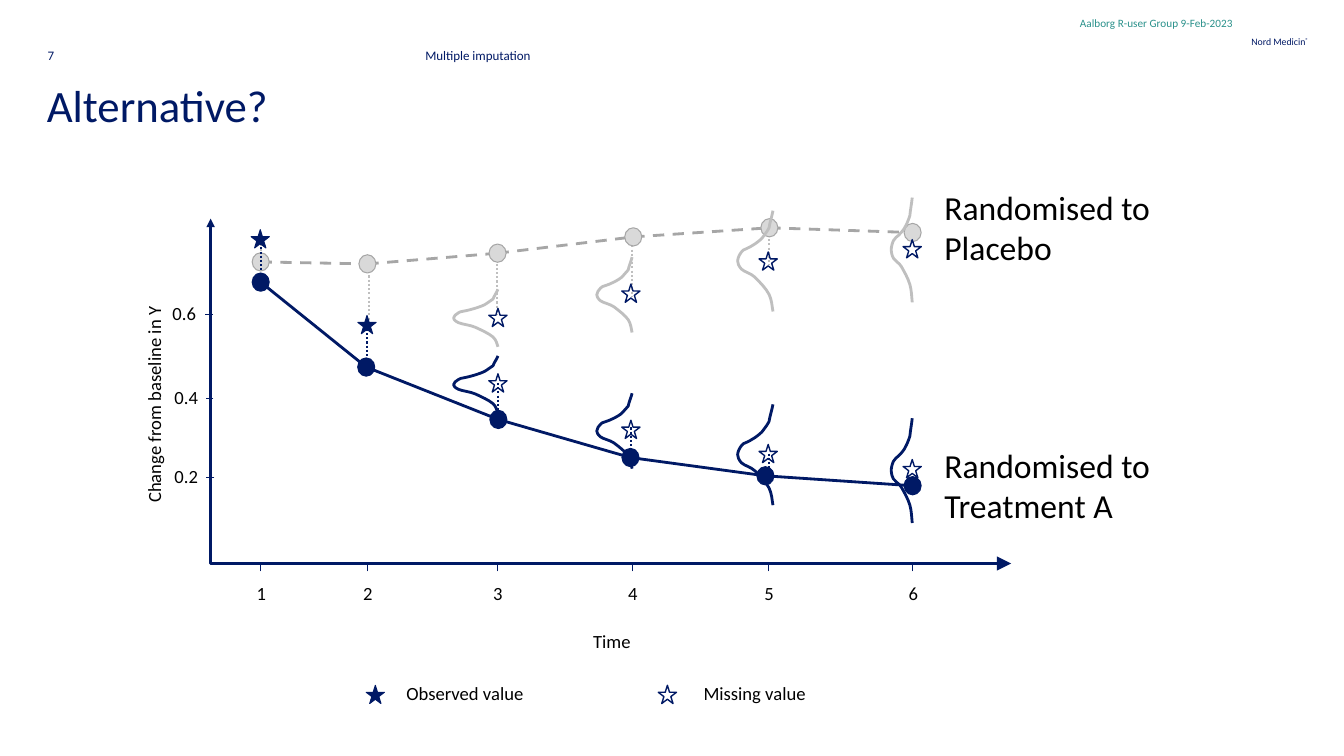
"""Draw the multiple imputation slide with both treatment arms and their missing values."""
from dataclasses import dataclass
from itertools import pairwise
from typing import Optional

from lxml import etree
from pptx import Presentation
from pptx import util as u
from pptx.dml.color import RGBColor
from pptx.enum import dml, shapes, text
from pptx.oxml import ns

NAVY = RGBColor(0x00, 0x19, 0x65)
TEAL = RGBColor(0x2A, 0x91, 0x8B)
BLACK = RGBColor(0, 0, 0)
GREY_LINE = RGBColor(0xA6, 0xA6, 0xA6)
GREY_CURVE = RGBColor(0xBF, 0xBF, 0xBF)
GREY_DOT = RGBColor(0xD9, 0xD9, 0xD9)
FONT = "Calibri"
LEFT, CENTER, RIGHT = text.PP_ALIGN.LEFT, text.PP_ALIGN.CENTER, text.PP_ALIGN.RIGHT
DASH, DOTS = dml.MSO_LINE.DASH, dml.MSO_LINE.ROUND_DOT
OVAL, STAR = shapes.MSO_SHAPE.OVAL, shapes.MSO_SHAPE.STAR_5_POINT
Point = tuple[float, float]


@dataclass
class Label:
    lines: str
    x: float
    y: float
    w: float
    h: float
    size: float = 13.3
    color: RGBColor = BLACK
    align: text.PP_ALIGN = LEFT
    inset: bool = True
    middle: bool = False
    rotation: float = 0


@dataclass
class Arm:
    line: RGBColor
    fill: RGBColor
    curve: RGBColor
    dash: Optional[dml.MSO_LINE]
    means: list[Point]
    missing: list[Point]
    curve_tops: list[float]
    drops: list[tuple[float, float, float]]


@dataclass
class Bell:
    right: float
    depth: float
    height: float


@dataclass
class Level:
    name: str
    tick_x: float
    label_x: float
    y: float


PLACEBO = Arm(
    GREY_LINE, GREY_DOT, GREY_CURVE, DASH,
    [(6.57, 6.6), (9.26, 6.65), (12.54, 6.38), (15.96, 5.97), (19.39, 5.74), (23, 5.86)],
    [(12.55, 8), (15.9, 7.39), (19.36, 6.58), (22.99, 6.27)],
    [7.29, 6.48, 5.31, 4.98],
    [(6.58, 6.05, 6.58), (9.3, 6.73, 8.13), (12.52, 6.43, 7.95), (15.93, 5.97, 7.47),
     (19.38, 5.92, 6.68)])
TREATMENT = Arm(
    NAVY, NAVY, NAVY, None,
    [(6.57, 7.11), (9.23, 9.25), (12.56, 10.57), (15.89, 11.53), (19.29, 11.99), (23, 12.24)],
    [(12.55, 9.65), (15.9, 10.82), (19.36, 11.43), (22.99, 11.81)],
    [8.97, 9.91, 10.19, 10.54],
    [(6.58, 6.02, 7.09), (9.25, 8.18, 9.25), (12.55, 9.65, 10.72), (15.9, 10.77, 11.66),
     (19.38, 11.43, 12.07)])
ARMS = [PLACEBO, TREATMENT]
BELLS = [Bell(12.55, 1.12, 1.45), Bell(15.93, 0.89, 1.9),
         Bell(19.48, 0.89, 2.54), Bell(22.99, 0.53, 2.64)]
BELL_KNOTS: list[Point] = [
    (0, 1), (0.03, 0.94), (0.03, 0.89), (0.11, 0.83), (0.2, 0.77), (0.37, 0.71), (0.51, 0.66),
    (0.63, 0.62), (0.8, 0.61), (0.89, 0.58), (0.97, 0.55), (1, 0.52), (1, 0.5),
    (1, 0.47), (0.94, 0.43), (0.89, 0.41), (0.86, 0.39), (0.83, 0.39), (0.77, 0.38),
    (0.69, 0.37), (0.6, 0.35), (0.51, 0.33), (0.43, 0.31), (0.31, 0.28), (0.26, 0.25),
    (0.2, 0.22), (0.17, 0.21), (0.11, 0.17), (0.09, 0.12), (0.03, 0.06), (0, 0)]
OBSERVED: list[Point] = [(6.56, 6.02), (9.25, 8.18), (9.46, 17.5)]
LEGEND_MISSING: Point = (16.82, 17.5)
VISITS = [6.57, 9.25, 12.53, 15.93, 19.36, 23]
LEVELS = [Level("0.6", 5.16, 3.83, 7.92), Level("0.4", 5.18, 3.88, 10.03),
          Level("0.2", 5.2, 3.88, 12.02)]
AXIS_X, AXIS_Y = 5.31, 14.2
LABELS = [
    Label("Alternative?", 1.18, 1.9, 31.52, 1.45, 32, NAVY, inset=False, middle=True),
    Label("Time", 14.1, 15.75, 2.64, 0.84, align=CENTER),
    Label("Change from baseline in Y", 0.36, 9.78, 7.06, 0.84, align=CENTER, rotation=270),
    Label("Observed value", 9.99, 17.07, 4.42, 0.84),
    Label("Missing value", 17.48, 17.07, 4.42, 0.84),
    Label("Multiple imputation", 10.72, 1.19, 15.42, 0.46, 9.3, NAVY, inset=False),
    Label("7", 1.2, 1.19, 1.19, 0.46, 9.3, NAVY, inset=False),
    Label("Randomised to Placebo", 23.55, 4.58, 8, 2.31, 24),
    Label("Randomised to\nTreatment A", 23.55, 11.09, 8.64, 2.31, 24),
    Label("Aalborg R-user Group 9-Feb-2023", 26.62, 0.38, 4.45, 0.38, 8, TEAL, RIGHT,
          inset=False, middle=True)]


def add_label(s, label: Label):
    sp = s.shapes.add_textbox(*map(u.Cm, (label.x, label.y, label.w, label.h)))
    sp.rotation = label.rotation
    tf = sp.text_frame
    tf.word_wrap = True
    if not label.inset:
        tf.margin_left = tf.margin_right = tf.margin_top = tf.margin_bottom = u.Cm(0)
    if label.middle:
        tf.vertical_anchor = text.MSO_ANCHOR.MIDDLE
    tf.text = label.lines
    for p in tf.paragraphs:
        p.alignment = label.align
        p.font.name = FONT
        p.font.size = u.Pt(label.size)
        p.font.color.rgb = label.color
    return sp


def add_line(s, start: Point, end: Point, color: RGBColor, width: float,
             dash: Optional[dml.MSO_LINE] = None, axes: bool = False) -> None:
    kind = shapes.MSO_CONNECTOR.ELBOW if axes else shapes.MSO_CONNECTOR.STRAIGHT
    c = s.shapes.add_connector(kind, *map(u.Cm, start + end))
    c.line.color.rgb = color
    c.line.width = u.Pt(width)
    if dash is not None:
        c.line.dash_style = dash
    spPr = c._element.spPr
    if axes:
        guides = spPr.find(ns.qn("a:prstGeom")).find(ns.qn("a:avLst"))
        etree.SubElement(guides, ns.qn("a:gd"), name="adj1", fmla="val 0")
        for end_tag, size in (("a:headEnd", "med"), ("a:tailEnd", "lg")):
            etree.SubElement(spPr.find(ns.qn("a:ln")), ns.qn(end_tag),
                             type="triangle", w=size, len=size)
    etree.SubElement(spPr, ns.qn("a:effectLst"))


def style_outline(sp, line: RGBColor, width: float, fill: Optional[RGBColor] = None) -> None:
    sp.shadow.inherit = False
    sp.line.color.rgb = line
    sp.line.width = u.Pt(width)
    if fill is None:
        sp.fill.background()
    else:
        sp.fill.solid()
        sp.fill.fore_color.rgb = fill


def add_marker(s, kind: shapes.MSO_SHAPE, center: Point, line: RGBColor, width: float,
               fill: Optional[RGBColor] = None) -> None:
    w, h = (0.43 if kind == OVAL else 0.46), 0.46
    x, y = center
    sp = s.shapes.add_shape(kind, *map(u.Cm, (x - w / 2, y - h / 2, w, h)))
    style_outline(sp, line, width, fill)


def add_bell(s, bell: Bell, top: float, color: RGBColor) -> None:
    knots = [(u.Cm(bell.right - bell.depth * x), u.Cm(top + bell.height * y))
             for x, y in BELL_KNOTS]
    builder = s.shapes.build_freeform(*knots[0])
    builder.add_line_segments(knots[1:], close=False)
    sp = builder.convert_to_shape()
    style_outline(sp, color, 2)
    segments = list(sp._element.iter(ns.qn("a:lnTo")))
    outline = segments[0].getparent()
    for i in range(0, len(segments), 3):
        curve = etree.SubElement(outline, ns.qn("a:cubicBezTo"))
        for segment in segments[i:i + 3]:
            curve.append(segment[0])
            outline.remove(segment)


def main() -> None:
    prs = Presentation()
    prs.slide_width, prs.slide_height = u.Cm(33.87), u.Cm(19.05)
    s = prs.slides.add_slide(prs.slide_layouts[6])
    for label in LABELS:
        add_label(s, label)
    brand = Label("Nord Medicin", 31.17, 0.89, 1.8, 0.3, 7, NAVY, RIGHT, inset=False)
    r = add_label(s, brand).text_frame.paragraphs[0].add_run()
    r.text = "®"
    r.font._element.set("baseline", "30000")

    add_line(s, (AXIS_X, 5.51), (25.48, AXIS_Y), NAVY, 2, axes=True)
    for number, x in enumerate(VISITS, 1):
        add_line(s, (x, AXIS_Y + 0.2), (x, AXIS_Y), NAVY, 0.5)
        add_label(s, Label(str(number), x - 0.53, 14.54, 1.1, 0.84, align=CENTER))
    for level in LEVELS:
        add_line(s, (level.tick_x + 0.2, level.y), (level.tick_x, level.y), NAVY, 0.5)
        add_label(s, Label(level.name, level.label_x, level.y - 0.44, 1.63, 0.84, align=CENTER))

    for arm in ARMS:
        for x, top, bottom in arm.drops:
            add_line(s, (x, top), (x, bottom), arm.curve, 1.5, DOTS)
        for start, end in pairwise(arm.means):
            add_line(s, start, end, arm.line, 2, arm.dash)
        for center in arm.means:
            add_marker(s, OVAL, center, arm.line, 0.75, arm.fill)
        for center in arm.missing:
            add_marker(s, STAR, center, NAVY, 1)
        for bell, top in zip(BELLS, arm.curve_tops):
            add_bell(s, bell, top, arm.curve)
    for center in OBSERVED:
        add_marker(s, STAR, center, NAVY, 0.75, NAVY)
    add_marker(s, STAR, LEGEND_MISSING, NAVY, 1)
    prs.save("out.pptx")


if __name__ == "__main__":
    main()
